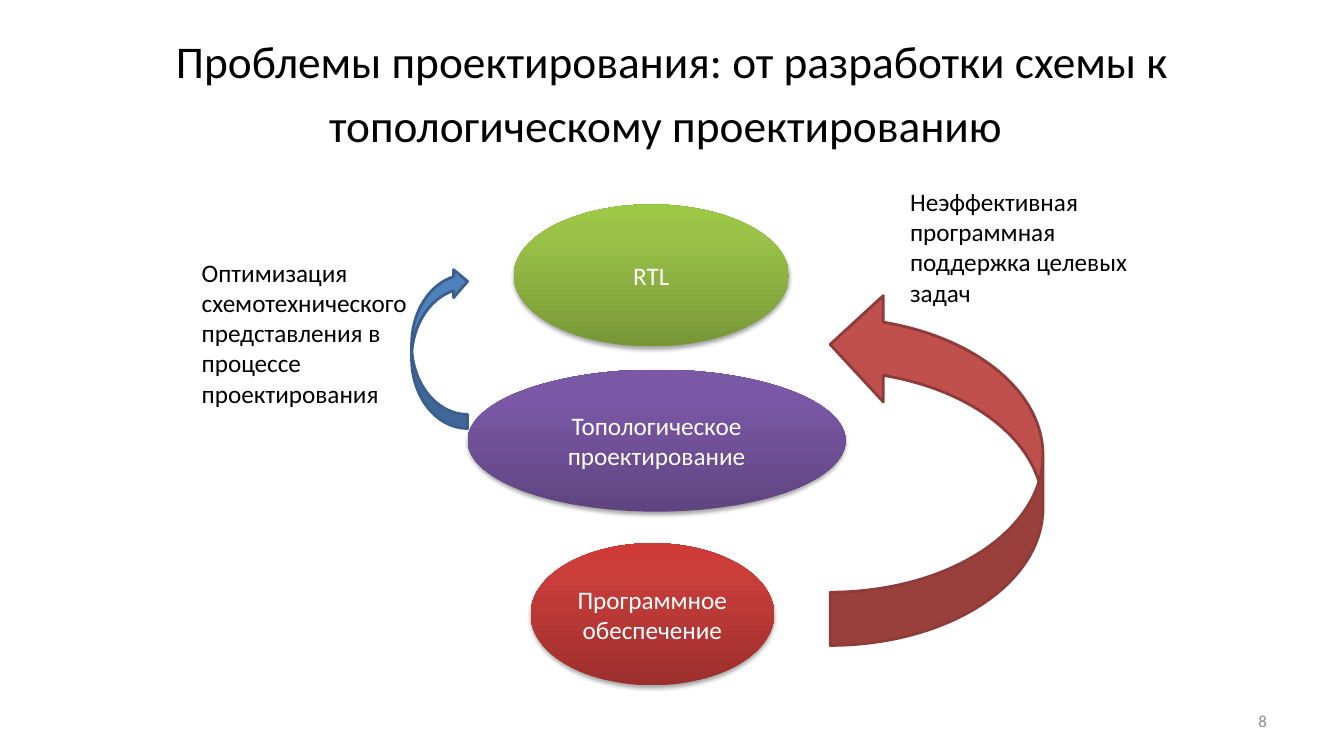
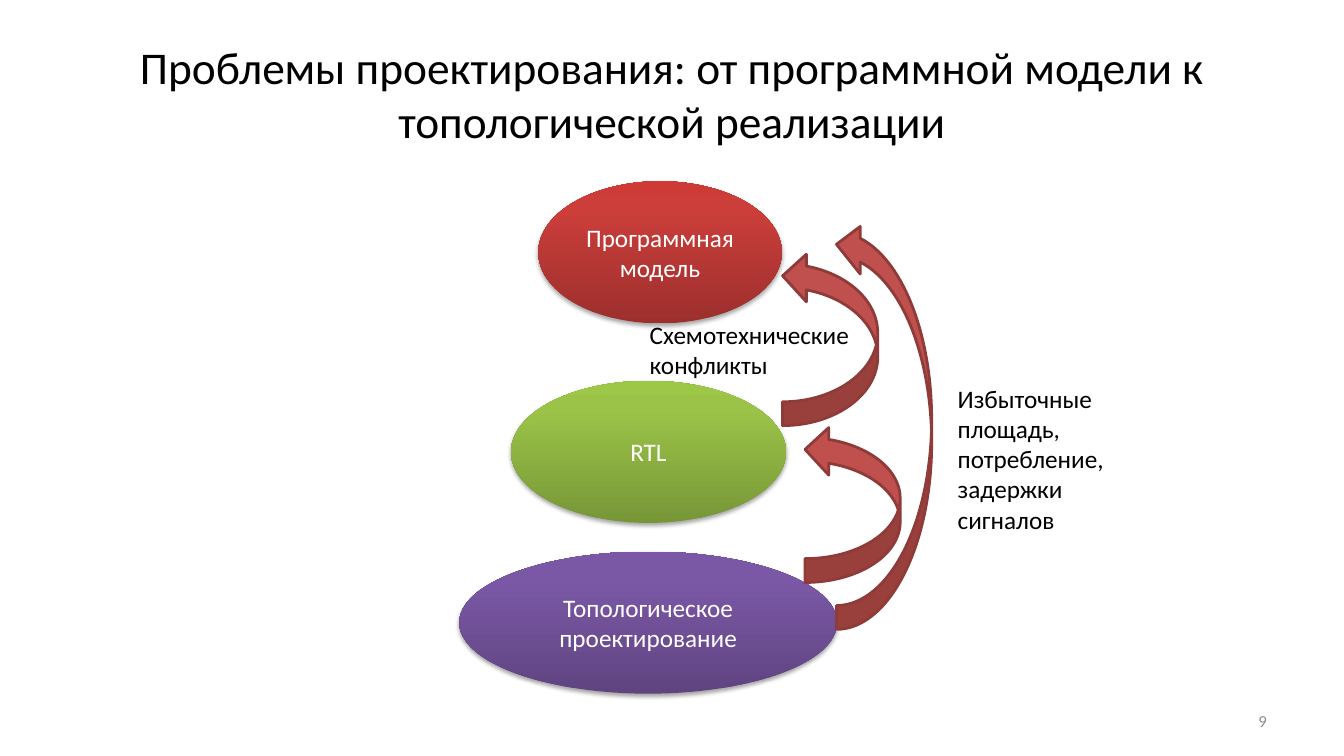
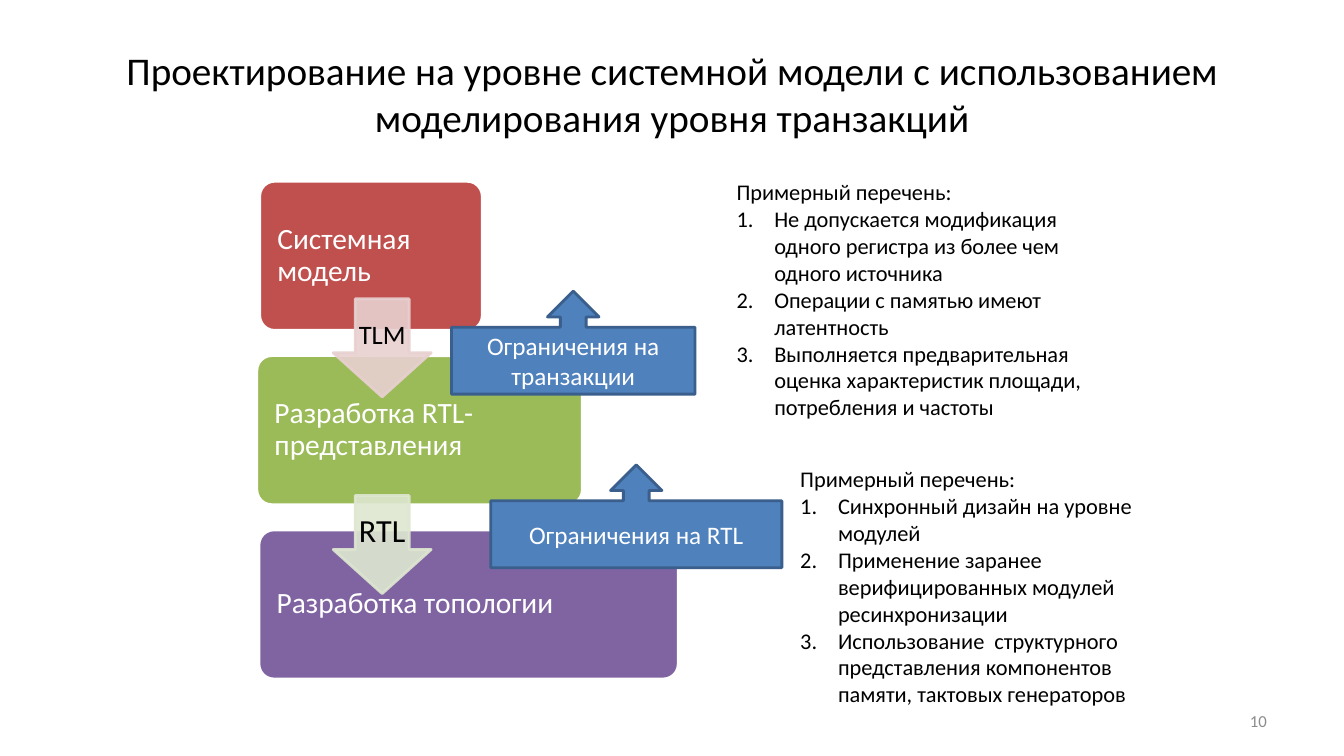
from dataclasses import dataclass

from lxml import etree
from pptx import Presentation
from pptx.dml.color import RGBColor
from pptx.enum.shapes import MSO_SHAPE
from pptx.enum.text import MSO_ANCHOR, MSO_AUTO_SIZE, PP_ALIGN
from pptx.oxml.ns import qn
from pptx.util import Pt

ELLIPSE = MSO_SHAPE.OVAL
CURVED_ARROW = MSO_SHAPE.CURVED_UP_ARROW
ROUNDED = MSO_SHAPE.ROUNDED_RECTANGLE
DOWN_ARROW = MSO_SHAPE.DOWN_ARROW
CALLOUT = MSO_SHAPE.UP_ARROW_CALLOUT
LEFT, CENTER, RIGHT = PP_ALIGN.LEFT, PP_ALIGN.CENTER, PP_ALIGN.RIGHT
TOP, MIDDLE = MSO_ANCHOR.TOP, MSO_ANCHOR.MIDDLE
GROW, NO_FIT = MSO_AUTO_SIZE.SHAPE_TO_FIT_TEXT, MSO_AUTO_SIZE.NONE
TITLE_ONLY = 5


@dataclass(frozen=True)
class Theme:
    font: str = "Calibri"
    black: str = "000000"
    white: str = "FFFFFF"
    gray: str = "8C8C8C"
    blue: str = "4F81BD"
    blue_line: str = "3A5F8C"
    red: str = "C0504D"
    red_line: str = "8E3B39"
    green: str = "9BBB59"
    purple: str = "8064A2"
    pale_red: str = "E8D0D0"
    pale_green: str = "DEE7D1"
    title: float = 32.4
    title_small: float = 28
    title_space: float = 39.6
    step: float = 21
    body: float = 18
    list: float = 16
    number: float = 12
    line: float = 2


@dataclass(frozen=True)
class Box:
    left: float
    top: float
    width: float
    height: float

    def inner(self, left, top, width, height):
        return Box(self.left + left, self.top + top, width, height)

    def points(self):
        return Pt(self.left), Pt(self.top), Pt(self.width), Pt(self.height)


@dataclass(frozen=True)
class Stage:
    """A kind of ellipse: its width and its gradient from bottom to top."""
    width: float
    colors: tuple


THEME = Theme()
TITLE_BOX = Box(48, 21.6, 864, 90)
CONTENT_BOX = Box(48, 120, 864, 380)
NUMBER_BOX = Box(688, 500.4, 224, 28.8)
STAGE_HEIGHT = 101.5
SOFTWARE = Stage(174, ("9C2F2D", "CB3E3A", "CE3B37"))
RTL = Stage(196.5, ("779737", "9BC348", "9DC746"))
TOPOLOGY = Stage(270, ("5F4480", "7B58A6", "7C57A8"))


# Shared helpers
def format_text(frame, size, color, align=LEFT, anchor=TOP):
    frame.word_wrap = True
    frame.vertical_anchor = anchor
    for paragraph in frame.paragraphs:
        paragraph.alignment = align
        for run in paragraph.runs:
            run.font.name = THEME.font
            run.font.size = Pt(size)
            run.font.color.rgb = RGBColor.from_string(color)


def add_text(slide, box, text, size, color=THEME.black, align=LEFT, anchor=TOP, fit=GROW):
    frame = slide.shapes.add_textbox(*box.points()).text_frame
    frame.text = text
    format_text(frame, size, color, align, anchor)
    frame.auto_size = fit
    return frame


def add_filled(slide, kind, box, fill, line):
    shape = slide.shapes.add_shape(kind, *box.points())
    shape.shadow.inherit = False
    shape.fill.solid()
    shape.fill.fore_color.rgb = RGBColor.from_string(fill)
    shape.line.color.rgb = RGBColor.from_string(line)
    shape.line.width = Pt(THEME.line)
    return shape


def add_color(parent, color, alpha=None):
    element = etree.SubElement(parent, qn("a:srgbClr"), val=color)
    if alpha is not None:
        etree.SubElement(element, qn("a:alpha"), val=str(alpha * 1000))


def add_slide(presentation, number, title, size):
    slide = presentation.slides.add_slide(presentation.slide_layouts[TITLE_ONLY])
    shape = slide.shapes.title
    shape.left, shape.top, shape.width, shape.height = TITLE_BOX.points()
    shape.text_frame.text = title
    format_text(shape.text_frame, size, THEME.black, CENTER, MIDDLE)
    shape.text_frame.auto_size = NO_FIT
    add_text(slide, NUMBER_BOX, str(number), THEME.number, THEME.gray, RIGHT, MIDDLE, NO_FIT)
    return slide


# Parts of the loop diagrams
def add_stage(slide, box, stage, text):
    shape = slide.shapes.add_shape(ELLIPSE, *box.points())
    shape.line.fill.background()
    shape.fill.gradient()
    shape.fill.gradient_angle = 90
    properties = shape.element.spPr
    stops = properties.find(qn("a:gradFill")).find(qn("a:gsLst"))
    for stop in list(stops):
        stops.remove(stop)
    for position, color in zip((0, 80, 100), stage.colors):
        add_color(etree.SubElement(stops, qn("a:gs"), pos=str(position * 1000)), color)
    shape.shadow.inherit = False
    shadow = etree.SubElement(
        properties.find(qn("a:effectLst")), qn("a:outerShdw"), blurRad=str(Pt(3.1)),
        dist=str(Pt(1.8)), dir="5400000", rotWithShape="0")
    add_color(shadow, THEME.black, 35)
    shape.text_frame.text = text
    format_text(shape.text_frame, THEME.body, THEME.white, CENTER, MIDDLE)


def add_return_arrow(slide, box, on_left=False):
    """Upward curved arrow; the box is the upright area it covers."""
    shift = (box.width - box.height) / 2
    frame = box.inner(shift, -shift, box.height, box.width)
    colors = (THEME.blue, THEME.blue_line) if on_left else (THEME.red, THEME.red_line)
    arrow = add_filled(slide, CURVED_ARROW, frame, *colors)
    arrow.rotation = 90 if on_left else 270
    if on_left:
        arrow.element.spPr.find(qn("a:xfrm")).set("flipH", "1")


def loop_diagram(slide, box, stages, arrows, notes):
    for stage, left, top, text in stages:
        add_stage(slide, box.inner(left, top, stage.width, STAGE_HEIGHT), stage, text)
    for area, on_left in arrows:
        add_return_arrow(slide, box.inner(*area), on_left)
    for area, text in notes:
        add_text(slide, box.inner(*area), text, THEME.body)


# Parts of the system model slide
def step_cascade(slide, box):
    steps = (
        (2, 159, THEME.red, "Системная модель"),
        (0, 232.5, THEME.green, "Разработка RTL-представления"),
        (1.5, 299.5, THEME.purple, "Разработка топологии"),
    )
    for index, (left, width, color, text) in enumerate(steps):
        area = box.inner(left, index * 124.5, width, 106.5)
        shape = add_filled(slide, ROUNDED, area, color, THEME.white)
        shape.adjustments[0] = 0.1
        frame = shape.text_frame
        frame.text = text
        format_text(frame, THEME.step, THEME.white, LEFT, MIDDLE)
        frame.margin_left = frame.margin_right = Pt(9.5)
        frame.paragraphs[0].line_spacing = 0.9

    arrows = (("TLM", 19, THEME.pale_red), ("RTL", 23, THEME.pale_green))
    for index, (text, size, color) in enumerate(arrows):
        area = box.inner(54.5, 84 + index * 140.5, 70, 70)
        shape = add_filled(slide, DOWN_ARROW, area, color, color)
        shape.adjustments[0], shape.adjustments[1] = 0.55, 0.45
        for element in list(shape.element.spPr.iter(qn("a:srgbClr"))):
            etree.SubElement(element, qn("a:alpha"), val="90000")
        frame = shape.text_frame
        frame.text = text
        format_text(frame, size, THEME.black, CENTER, MIDDLE)
        frame.word_wrap = False
        frame.margin_left = frame.margin_right = Pt(2)
        frame.margin_top = frame.margin_bottom = Pt(2)
        frame.paragraphs[0].line_spacing = 0.9


def constraint_callout(slide, box, text):
    shape = add_filled(slide, CALLOUT, box, THEME.blue, THEME.blue_line)
    shape.text_frame.text = text
    format_text(shape.text_frame, THEME.body, THEME.white, CENTER, MIDDLE)


def numbered_list(slide, box, items):
    text = "\n".join(("Примерный перечень:", *items))
    frame = add_text(slide, box, text, THEME.list)
    for paragraph in frame.paragraphs[1:]:
        properties = paragraph._p.get_or_add_pPr()
        properties.set("marL", str(Pt(27)))
        properties.set("indent", str(-Pt(27)))
        etree.SubElement(properties, qn("a:buAutoNum"), type="arabicPeriod")


# Slides
def circuit_to_layout(presentation):
    slide = add_slide(
        presentation, 8,
        "Проблемы проектирования: от разработки схемы к топологическому проектированию",
        THEME.title)
    space = slide.shapes.title.text_frame.paragraphs[0].add_run()
    space.text = " "
    space.font.name = THEME.font
    space.font.size = Pt(THEME.title_space)
    loop_diagram(
        slide, CONTENT_BOX,
        stages=(
            (SOFTWARE, 331, 268, "Программное обеспечение"),
            (RTL, 319, 26, "RTL"),
            (TOPOLOGY, 286, 144, "Топологическое проектирование"),
        ),
        arrows=(((246, 71, 40, 115), True), ((545, 88, 152, 253), False)),
        notes=(
            ((89, 60, 168, 117),
             "Оптимизация схемотехнического представления в процессе проектирования"),
            ((595, 9.5, 186, 94), "Неэффективная программная поддержка целевых задач"),
        ))


def model_to_layout(presentation):
    slide = add_slide(
        presentation, 9,
        "Проблемы проектирования: от программной модели к топологической реализации",
        THEME.title)
    loop_diagram(
        slide, CONTENT_BOX,
        stages=(
            (SOFTWARE, 336.5, 9.5, "Программная\vмодель"),
            (RTL, 317, 152, "RTL"),
            (TOPOLOGY, 280, 274, "Топологическое проектирование"),
        ),
        arrows=(
            ((511, 60, 68, 124), False),
            ((549.5, 37.5, 68, 292), False),
            ((527, 184, 68, 112), False),
        ),
        notes=(
            ((409, 104.5, 163, 51), "Схемотехнические конфликты"),
            ((629, 150, 140, 117), "Избыточные площадь, потребление, задержки сигналов"),
        ))


def system_model(presentation):
    slide = add_slide(
        presentation, 10,
        "Проектирование на уровне системной модели с использованием "
        "моделирования уровня транзакций",
        THEME.title_small)
    box = CONTENT_BOX
    step_cascade(slide, box.inner(135.5, 9.5, 301, 355.5))
    constraint_callout(slide, box.inner(274.5, 88, 174, 73.5), "Ограничения на транзакции")
    constraint_callout(slide, box.inner(302.5, 212, 208, 73.5), "Ограничения на RTL")
    numbered_list(slide, box.inner(471, 4, 270, 209.5), (
        "Не допускается модификация одного регистра из более чем одного источника",
        "Операции с памятью имеют латентность",
        "Выполняется предварительная оценка характеристик площади, потребления и частоты",
    ))
    numbered_list(slide, box.inner(516.5, 209, 276, 211), (
        "Синхронный дизайн на уровне модулей",
        "Применение заранее верифицированных модулей ресинхронизации",
        "Использование  структурного представления компонентов памяти, тактовых генераторов",
    ))


def main():
    presentation = Presentation()
    presentation.slide_width, presentation.slide_height = Pt(960), Pt(540)
    circuit_to_layout(presentation)
    model_to_layout(presentation)
    system_model(presentation)
    presentation.save("out.pptx")


if __name__ == "__main__":
    main()
